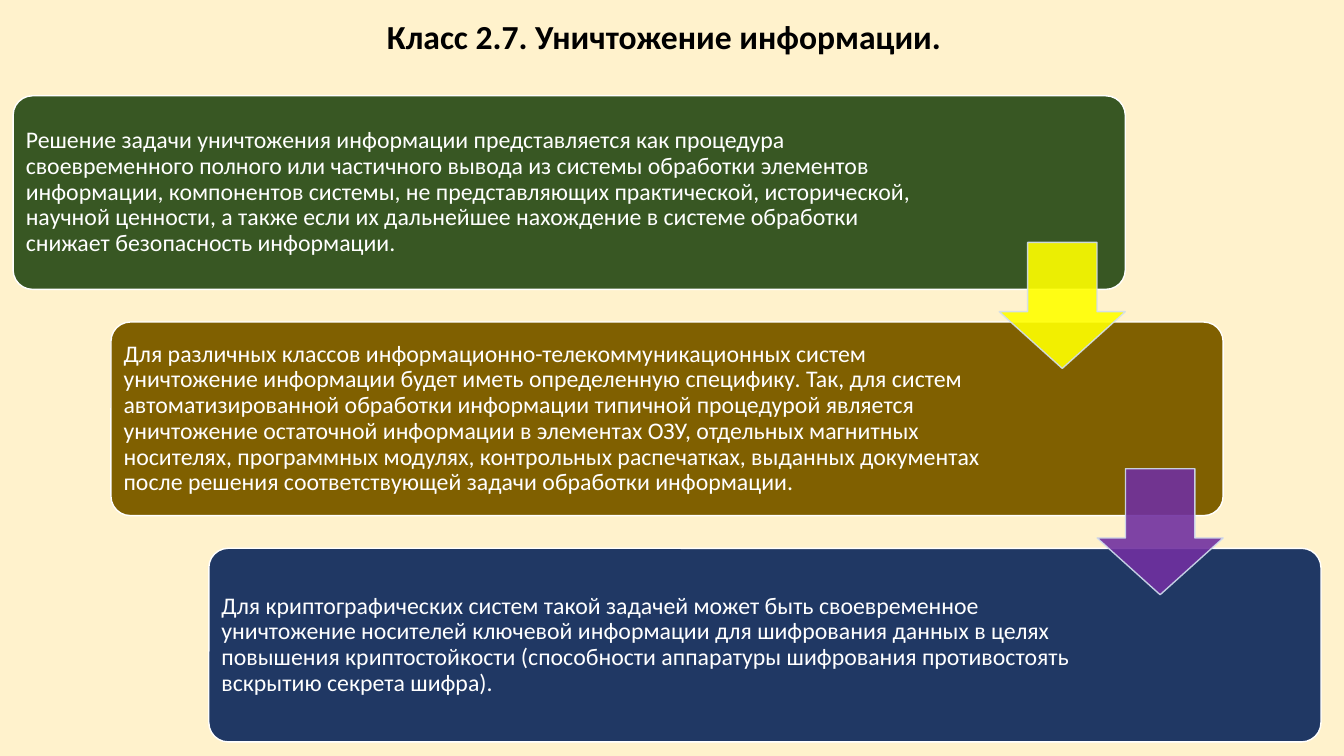
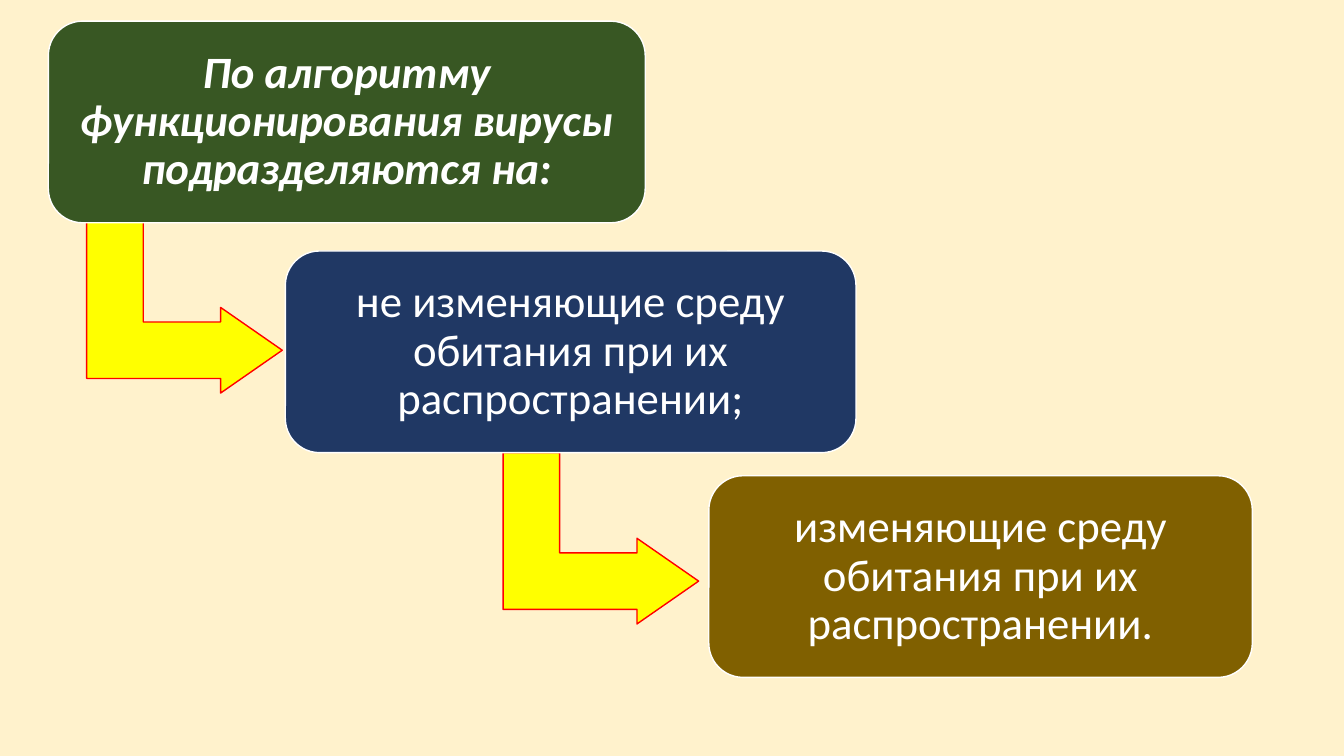
from dataclasses import dataclass

from lxml.etree import SubElement
from pptx import Presentation
from pptx.dml.color import RGBColor
from pptx.enum.shapes import MSO_SHAPE
from pptx.enum.text import MSO_ANCHOR, PP_ALIGN
from pptx.oxml.ns import qn
from pptx.shapes.autoshape import Shape
from pptx.slide import Slide
from pptx.util import Inches, Pt

SLIDE_WIDTH, SLIDE_HEIGHT = Inches(13.333), Inches(7.5)

CREAM, WHITE, BLACK = "FFF2CC", "FFFFFF", "000000"
GREEN, OCHRE, NAVY = "385723", "806000", "203864"
YELLOW, PURPLE, RED, PALE_BLUE = "FFFF00", "7030A0", "FF0000", "D2DEEF"

BASE_FONT = {"name": "Calibri", "bold": False, "italic": False}
TITLE_FONT = BASE_FONT | {"size": Pt(24), "bold": True}
STEP_FONT = BASE_FONT | {"size": Pt(17)}
BRANCH_FONT = BASE_FONT | {"size": Pt(32)}
ROOT_FONT = BRANCH_FONT | {"bold": True, "italic": True}


@dataclass(frozen=True)
class Area:
    """A rectangle in percent of the slide's width and height."""
    left: float
    top: float
    width: float
    height: float

    def frame(self) -> tuple[int, int, int, int]:
        return (int(SLIDE_WIDTH * self.left / 100), int(SLIDE_HEIGHT * self.top / 100),
                int(SLIDE_WIDTH * self.width / 100), int(SLIDE_HEIGHT * self.height / 100))


@dataclass(frozen=True)
class TextStyle:
    """Font values, alignment and side insets in points."""
    font: dict
    alignment: PP_ALIGN
    inset: float
    right_inset: float
    color: str = WHITE


@dataclass(frozen=True)
class Card:
    area: Area
    fill: str
    text: str
    style: TextStyle
    corner: float


@dataclass(frozen=True)
class Arrow:
    kind: MSO_SHAPE
    area: Area
    fill: str
    line: str
    adjustments: tuple[float, ...]
    rotation: float = 0
    opacity: int = 100


def color(value: str) -> RGBColor:
    return RGBColor.from_string(value)


def set_opacity(shape: Shape, percent: int) -> None:
    for element in shape.element.spPr.iter(qn("a:srgbClr")):
        SubElement(element, qn("a:alpha")).set("val", str(percent * 1000))


def write_text(shape: Shape, text: str, style: TextStyle) -> None:
    frame = shape.text_frame
    frame_values = {
        "word_wrap": True,
        "vertical_anchor": MSO_ANCHOR.MIDDLE,
        "margin_left": Pt(style.inset),
        "margin_top": Pt(style.inset),
        "margin_bottom": Pt(style.inset),
        "margin_right": Pt(style.right_inset),
    }
    for name, value in frame_values.items():
        setattr(frame, name, value)
    paragraph = frame.paragraphs[0]
    paragraph.alignment = style.alignment
    paragraph.line_spacing = 0.9
    run = paragraph.add_run()
    run.text = text
    for name, value in style.font.items():
        setattr(run.font, name, value)
    run.font.color.rgb = color(style.color)


def add_shape(slide: Slide, kind: MSO_SHAPE, area: Area, fill: str, line: str,
              adjustments: tuple[float, ...]) -> Shape:
    shape = slide.shapes.add_shape(kind, *area.frame())
    shape.shadow.inherit = False
    shape.fill.solid()
    shape.fill.fore_color.rgb = color(fill)
    shape.line.color.rgb = color(line)
    shape.line.width = Pt(1)
    for index, value in enumerate(adjustments):
        shape.adjustments[index] = value
    return shape


def add_card(slide: Slide, card: Card) -> None:
    shape = add_shape(slide, MSO_SHAPE.ROUNDED_RECTANGLE, card.area, card.fill,
                      WHITE, (card.corner,))
    write_text(shape, card.text, card.style)


def add_arrow(slide: Slide, arrow: Arrow) -> None:
    shape = add_shape(slide, arrow.kind, arrow.area, arrow.fill, arrow.line,
                      arrow.adjustments)
    shape.rotation = arrow.rotation
    if arrow.opacity < 100:
        set_opacity(shape, arrow.opacity)


def add_title(slide: Slide, text: str) -> None:
    box = slide.shapes.add_textbox(*Area(0.98, 0, 96.85, 10.27).frame())
    write_text(box, text, TextStyle(TITLE_FONT, PP_ALIGN.CENTER, 5, 5, BLACK))


def add_slide(presentation: Presentation) -> Slide:
    slide = presentation.slides.add_slide(presentation.slide_layouts[6])
    slide.background.fill.solid()
    slide.background.fill.fore_color.rgb = color(CREAM)
    return slide


def step_area(index: int) -> Area:
    """Place a card on the descending staircase."""
    return Area(0.98 + 7.28 * index, 12.67 + 29.93 * index, 82.75, 25.6)


def build_destruction_slide(presentation: Presentation) -> None:
    slide = add_slide(presentation)
    add_title(slide, "Класс 2.7. Уничтожение информации.")
    steps = [
        (GREEN, 147, "Решение задачи уничтожения информации представляется как процедура "
         "своевременного полного или частичного вывода из системы обработки элементов "
         "информации, компонентов системы, не представляющих практической, исторической, "
         "научной ценности, а также если их дальнейшее нахождение в системе обработки "
         "снижает безопасность информации."),
        (OCHRE, 165, "Для различных классов информационно-телекоммуникационных систем "
         "уничтожение информации будет иметь определенную специфику. Так, для систем "
         "автоматизированной обработки информации типичной процедурой является "
         "уничтожение остаточной информации в элементах ОЗУ, отдельных магнитных "
         "носителях, программных модулях, контрольных распечатках, выданных документах "
         "после решения соответствующей задачи обработки информации."),
        (NAVY, 165, "Для криптографических систем такой задачей может быть своевременное "
         "уничтожение носителей ключевой информации для шифрования данных в целях "
         "повышения криптостойкости (способности аппаратуры шифрования противостоять "
         "вскрытию секрета шифра)."),
    ]
    for index, (fill, right_inset, text) in enumerate(steps):
        style = TextStyle(STEP_FONT, PP_ALIGN.LEFT, 5, right_inset)
        add_card(slide, Card(step_area(index), fill, text, style, 0.1))

    arrow_width, arrow_height = 9.38, 16.67
    for index, fill in enumerate((YELLOW, PURPLE)):
        step = step_area(index)
        area = Area(step.left + step.width - arrow_width, step.top + 19.4,
                    arrow_width, arrow_height)
        add_arrow(slide, Arrow(MSO_SHAPE.DOWN_ARROW, area, fill, PALE_BLUE,
                               (0.55, 0.45), opacity=90))


def build_virus_slide(presentation: Presentation) -> None:
    slide = add_slide(presentation)
    for left, top in ((7.35, 27.73), (38.33, 58.27)):
        add_arrow(slide, Arrow(MSO_SHAPE.BENT_UP_ARROW, Area(left, top, 12.75, 25.87),
                               YELLOW, RED, (0.33, 0.25, 0.36), rotation=90))
    branches = [
        (3.6, 2.8, 44.41, GREEN, ROOT_FONT,
         "По алгоритму функционирования вирусы подразделяются на:"),
        (21.23, 33.2, 42.46, NAVY, BRANCH_FONT,
         "не изменяющие среду обитания при их распространении;"),
        (52.74, 62.93, 40.44, OCHRE, BRANCH_FONT,
         "изменяющие среду обитания при их распространении."),
    ]
    for left, top, width, fill, font, text in branches:
        style = TextStyle(font, PP_ALIGN.CENTER, 9.6, 9.6)
        add_card(slide, Card(Area(left, top, width, 26.67), fill, text, style, 0.17))


def main() -> None:
    presentation = Presentation()
    presentation.slide_width = SLIDE_WIDTH
    presentation.slide_height = SLIDE_HEIGHT
    build_destruction_slide(presentation)
    build_virus_slide(presentation)
    presentation.save("out.pptx")


if __name__ == "__main__":
    main()
